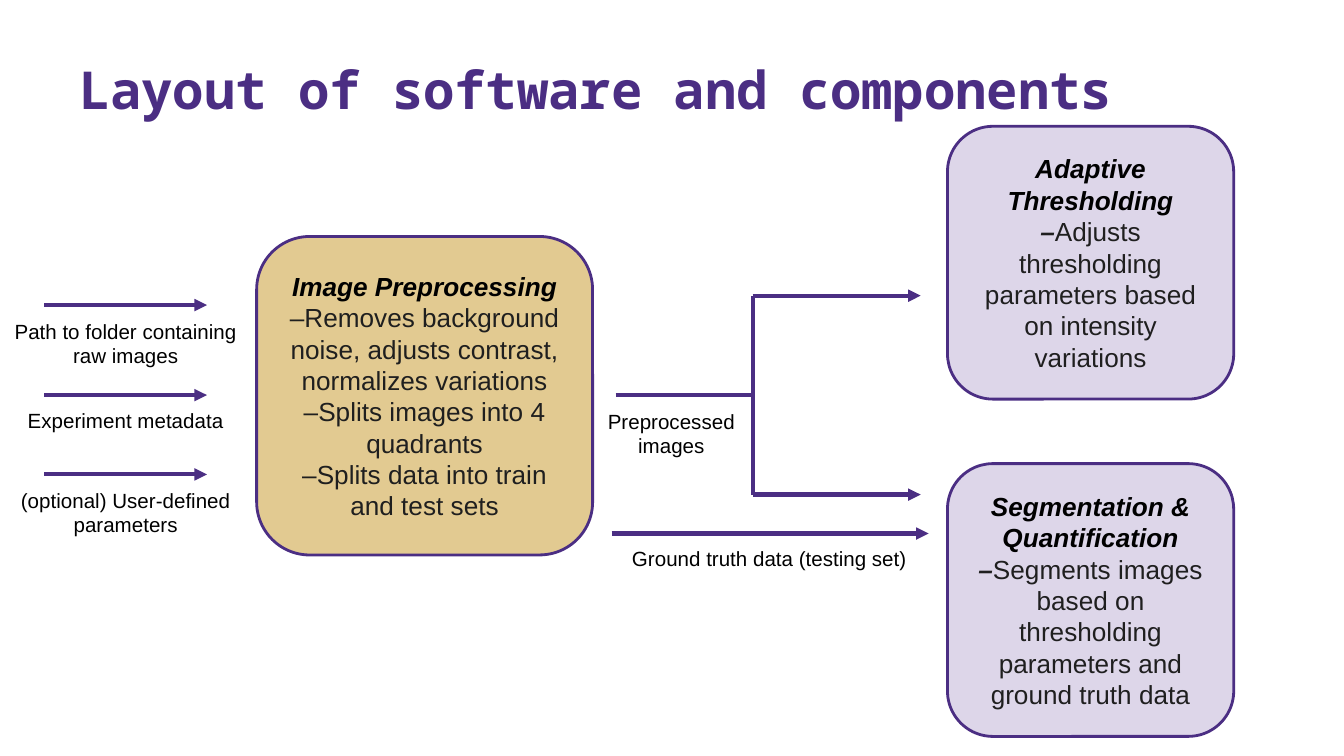
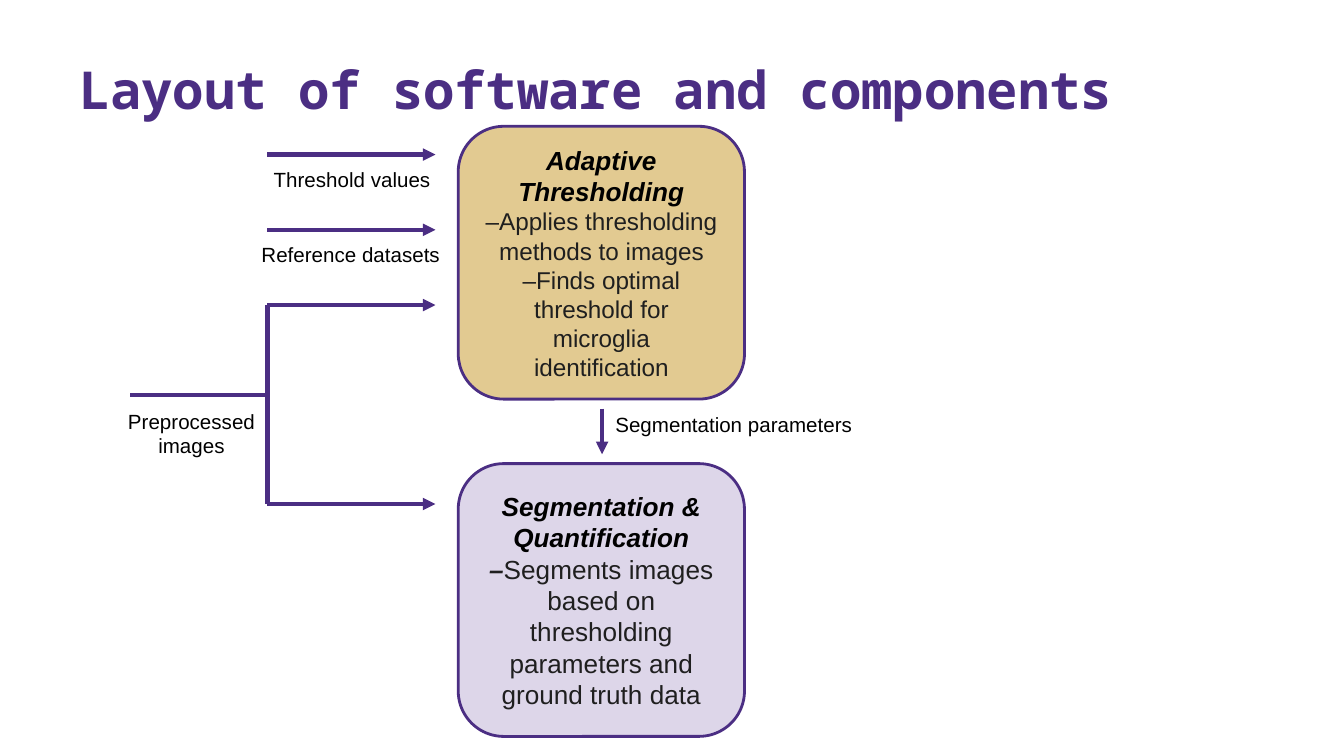
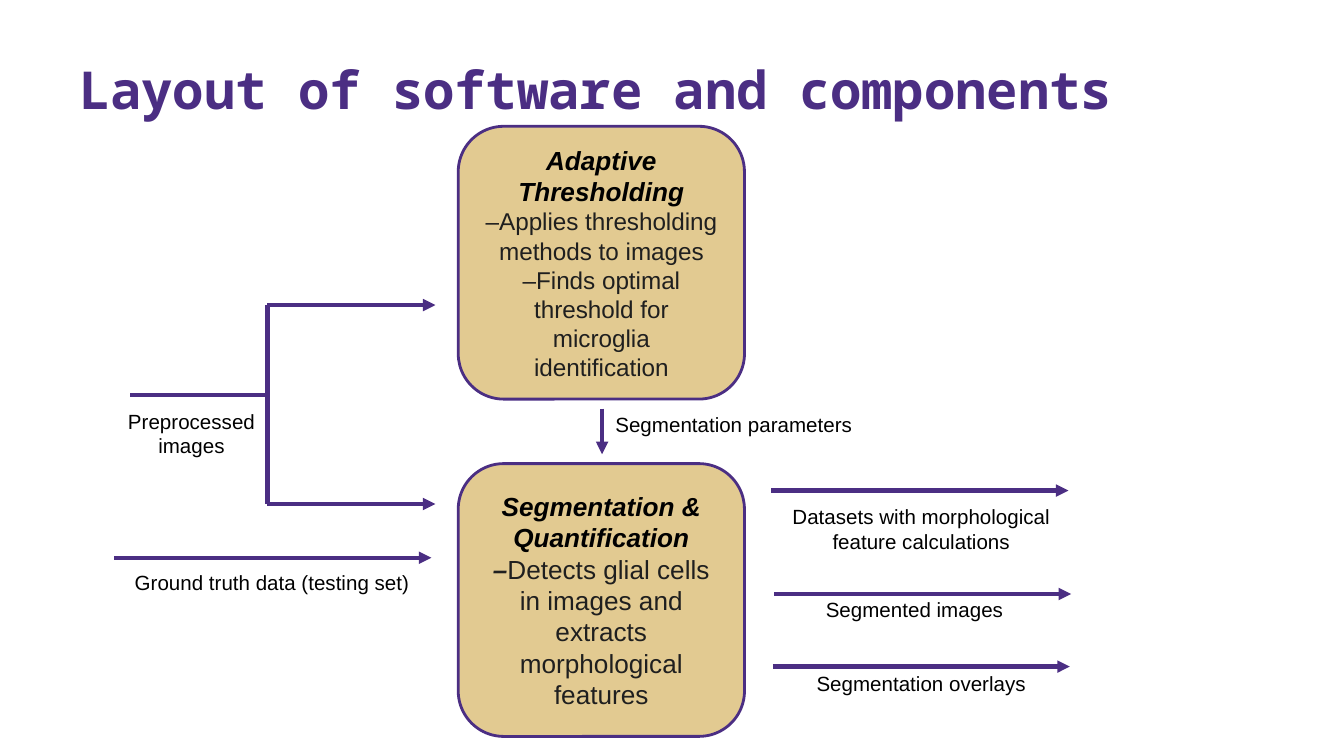
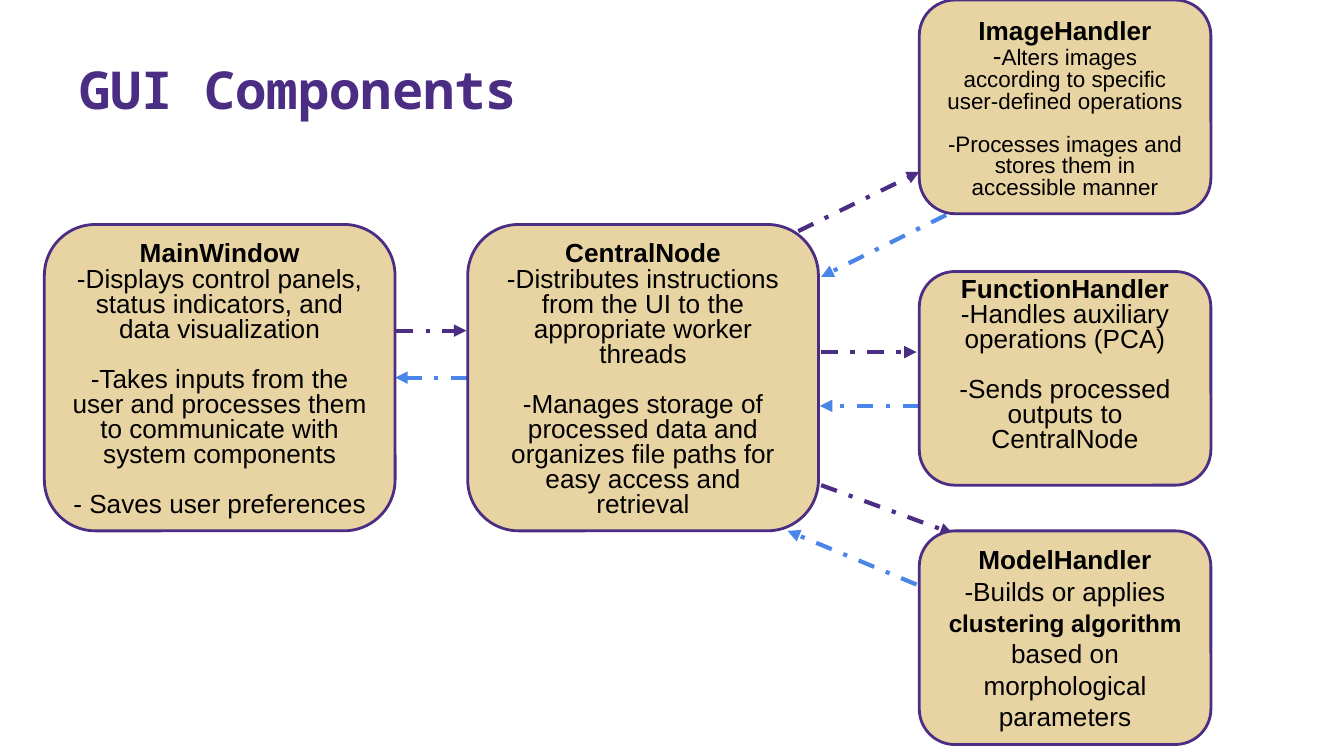
"""Build four slides on the layout of an image analysis program and its GUI."""
from lxml import etree
from pptx import Presentation
from pptx.dml.color import RGBColor
from pptx.enum.dml import MSO_LINE
from pptx.enum.shapes import MSO_CONNECTOR, MSO_SHAPE
from pptx.enum.text import MSO_ANCHOR, PP_ALIGN
from pptx.oxml.ns import qn
from pptx.util import Inches, Pt

COLORS = {
    "purple": "4B2E83",
    "lilac": "7357A6",
    "gold": "E2CA91",
    "sand": "E8D3A2",
    "blue": "4A86E8",
    "black": "000000",
    "ink": "1F1F1F",
}
LILAC_ALPHA = "24000"
STYLES = {
    "title": ("Noto Sans Mono", 28, "purple", True, False),
    "label": ("Arial", 11, "black", False, False),
    "head": ("Arial", 14, "black", True, True),
    "dash": ("Arial", 14, "ink", True, True),
    "body": ("Arial", 14, "ink", False, False),
    "body13": ("Arial", 13, "ink", False, False),
    "name": ("Arial", 14, "black", True, False),
    "duty": ("Arial", 14, "black", False, False),
    "duty12": ("Arial", 12, "black", False, False),
    "strong13": ("Arial", 13, "black", True, False),
}


def add_text(sp, paras, align=PP_ALIGN.CENTER, anchor=MSO_ANCHOR.TOP, spacing=None, gap=0):
    """Fill a shape with paragraphs of (style, text) runs."""
    tf = sp.text_frame
    tf.word_wrap = True
    tf.vertical_anchor = anchor
    tf.margin_left = tf.margin_right = tf.margin_top = tf.margin_bottom = Inches(0.1)
    for i, runs in enumerate(paras):
        p = tf.add_paragraph() if i else tf.paragraphs[0]
        p.alignment = align
        if spacing and i:
            p.line_spacing = spacing
        if gap and i > 1:
            p.space_before = Pt(gap)
        for style, text in runs:
            r = p.add_run()
            r.text = text
            font, size, color, r.font.bold, r.font.italic = STYLES[style]
            r.font.name = font
            r.font.size = Pt(size)
            r.font.color.rgb = RGBColor.from_string(COLORS[color])


def add_line(s, x1, y1, x2, y2, color="purple", head=True, dash=None):
    """Draw a straight line, with an arrowhead at its end by default."""
    c = s.shapes.add_connector(
        MSO_CONNECTOR.STRAIGHT, Inches(x1), Inches(y1), Inches(x2), Inches(y2))
    c.line.color.rgb = RGBColor.from_string(COLORS[color])
    c.line.width = Pt(2.25)
    if dash:
        c.line.dash_style = dash
    if head:
        etree.SubElement(c.line._get_or_add_ln(), qn("a:tailEnd"), type="triangle")
    etree.SubElement(c._element.spPr, qn("a:effectLst"))
    return c


SEGMENT_HEAD = [("head", "Segmentation & Quantification")]
SEGMENT_NEXT = [SEGMENT_HEAD, [
    ("dash", "–"),
    ("body", "Segments images based on thresholding parameters and ground truth data")]]
SEGMENT_NOW = [SEGMENT_HEAD, [
    ("dash", "–"),
    ("body", "Detects glial cells in images and extracts morphological features")]]
THRESHOLD_HEAD = [("head", "Adaptive Thresholding")]
THRESHOLD_NEXT = [THRESHOLD_HEAD, [
    ("dash", "–"),
    ("body", "Adjusts thresholding parameters based on intensity variations")]]
THRESHOLD_NOW = [
    THRESHOLD_HEAD,
    [("body13", "–Applies thresholding methods to images")],
    [("body13", "–Finds optimal threshold for microglia identification")]]
PREPROCESS = [
    [("head", "Image Preprocessing")],
    [("body", "–Removes background noise, adjusts contrast, normalizes variations")],
    [("body", "–Splits images into 4 quadrants")],
    [("body", "–Splits data into train and test sets")]]

STAGE = (2.13, 2.03)
TOP, LOW = 0.94, 3.45
PARAMETERS_ARROW = (4.48, 3.04, 4.48, 3.38)
PARAMETERS_LABEL = (4.48, 2.97, 1.99, 0.34, "Segmentation parameters", PP_ALIGN.LEFT)
PREPROCESSED_LABEL = (0.82, 2.94, 1.21, 0.54, "Preprocessed images", PP_ALIGN.CENTER)

PIPELINE = [
    {
        "fork": (5.6, 2.2, 3.68),
        "arrows": [(0.33, y, 1.54, y) for y in (2.27, 2.94, 3.53)] + [(4.55, 3.97, 6.91, 3.97)],
        "labels": [
            (-0.01, 2.27, 1.89, 0.54, "Path to folder containing raw images", PP_ALIGN.CENTER),
            (0.08, 2.94, 1.71, 0.34, "Experiment metadata", PP_ALIGN.CENTER),
            (-0.01, 3.53, 1.89, 0.54, "(optional) User-defined parameters", PP_ALIGN.CENTER),
            (4.39, 2.94, 1.21, 0.54, "Preprocessed images", PP_ALIGN.CENTER),
            (4.52, 3.97, 2.41, 0.38, "Ground truth data (testing set)", PP_ALIGN.CENTER),
        ],
        "cards": [
            (1.91, 1.76, 2.5, 2.37, "gold", PREPROCESS),
            (7.05, TOP, *STAGE, "lilac", THRESHOLD_NEXT),
            (7.05, LOW, *STAGE, "lilac", SEGMENT_NEXT),
        ],
    },
    {
        "fork": (1.99, 2.27, 3.75),
        "arrows": [PARAMETERS_ARROW] + [(1.99, y, 3.24, y) for y in (1.15, 1.71)],
        "labels": [
            PARAMETERS_LABEL,
            PREPROCESSED_LABEL,
            (1.92, 1.15, 1.4, 0.39, "Threshold values", PP_ALIGN.CENTER),
            (1.82, 1.71, 1.58, 0.39, "Reference datasets", PP_ALIGN.CENTER),
        ],
        "cards": [
            (3.41, TOP, *STAGE, "gold", THRESHOLD_NOW),
            (3.41, LOW, *STAGE, "lilac", SEGMENT_NEXT),
        ],
    },
    {
        "fork": (1.99, 2.27, 3.75),
        "arrows": [
            PARAMETERS_ARROW,
            (0.85, 4.15, 3.21, 4.15),
            (5.74, 3.65, 7.95, 3.65),
            (5.76, 4.42, 7.97, 4.42),
            (5.75, 4.96, 7.96, 4.96),
        ],
        "labels": [
            PARAMETERS_LABEL,
            PREPROCESSED_LABEL,
            (0.82, 4.15, 2.41, 0.38, "Ground truth data (testing set)", PP_ALIGN.CENTER),
            (5.73, 3.65, 2.25, 0.54, "Datasets with morphological feature calculations",
             PP_ALIGN.CENTER),
            (5.74, 4.35, 2.13, 0.38, "Segmented images", PP_ALIGN.CENTER),
            (5.73, 4.9, 2.25, 0.38, "Segmentation overlays", PP_ALIGN.CENTER),
        ],
        "cards": [
            (3.41, TOP, *STAGE, "gold", THRESHOLD_NOW),
            (3.41, LOW, *STAGE, "gold", SEGMENT_NOW),
        ],
    },
]

WINDOW = (2.61, 2.28)
HANDLER = (2.17, 1.59)
GUI_CARDS = [
    (0.33, 1.67, *WINDOW, 0.8, 13.4, [
        [("name", "MainWindow")],
        [("duty", "-Displays control panels, status indicators, and data visualization")],
        [("duty", "-Takes inputs from the user and processes them to communicate "
                  "with system components")],
        [("duty", "- Saves user preferences")]]),
    (3.48, 1.67, *WINDOW, 0.8, 13.4, [
        [("name", "CentralNode")],
        [("duty", "-Distributes instructions from the UI to the appropriate worker threads")],
        [("duty", "-Manages storage of processed data and organizes file paths "
                  "for easy access and retrieval")]]),
    (6.84, 0, *HANDLER, 0.8, 11.5, [
        [("name", "ImageHandler")],
        [("duty", "-"),
         ("duty12", "Alters images according to specific user-defined operations")],
        [("duty12", "-Processes images and stores them in accessible manner")]]),
    (6.84, 2.02, *HANDLER, 0.8, 13.4, [
        [("name", "FunctionHandler")],
        [("duty", "-Handles auxiliary operations (PCA)")],
        [("duty", "-Sends processed outputs to CentralNode")]]),
    (6.84, 3.95, *HANDLER, None, 0, [
        [("name", "ModelHandler")],
        [("duty", "-Builds or applies "),
         ("strong13", "clustering algorithm"),
         ("duty", " based on morphological parameters")]]),
]
REQUESTS = [
    (2.95, 2.46, 3.47, 2.46),
    (6.11, 2.62, 6.82, 2.62),
    (6.11, 3.61, 7.09, 3.97),
    (5.94, 1.72, 6.84, 1.28),
]
REPLIES = [
    (6.84, 3.02, 6.1, 3.02),
    (6.82, 4.35, 5.86, 3.95),
    (7.04, 1.6, 6.11, 2.06),
]

prs = Presentation()
prs.slide_width = Inches(10)
prs.slide_height = prs.slide_width * 9 // 16

slides = []
for title in ["Layout of software and components"] * 3 + ["GUI Components"]:
    s = prs.slides.add_slide(prs.slide_layouts[6])
    sp = s.shapes.add_textbox(Inches(0.49), Inches(0.17), Inches(8.96), Inches(0.77))
    add_text(sp, [[("title", title)]], PP_ALIGN.LEFT, MSO_ANCHOR.BOTTOM)
    sp.text_frame.margin_top = sp.text_frame.margin_bottom = Inches(0.05)
    slides.append(s)

for s, stage in zip(slides, PIPELINE):
    x, top, bottom = stage["fork"]
    add_line(s, x - 1.02, 2.94, x, 2.94, head=False)
    add_line(s, x, bottom, x, top, head=False)
    for y in (top, bottom):
        add_line(s, x, y, x + 1.25, y)
    for ends in stage["arrows"]:
        add_line(s, *ends)
    for x, y, w, h, text, align in stage["labels"]:
        sp = s.shapes.add_textbox(Inches(x), Inches(y), Inches(w), Inches(h))
        add_text(sp, [[("label", text)]], align)

gui = slides[3]
for ends in REQUESTS:
    add_line(gui, *ends, dash=MSO_LINE.DASH_DOT)
for ends in REPLIES:
    add_line(gui, *ends, color="blue", dash=MSO_LINE.DASH_DOT)
status = add_line(gui, 3.48, 2.81, 2.94, 2.81, color="blue", dash=MSO_LINE.DASH_DOT)

cards = [(s, *box, fill, None, 0, paras)
         for s, stage in zip(slides, PIPELINE)
         for *box, fill, paras in stage["cards"]]
cards += [(gui, *box, "sand", spacing, gap, paras)
          for *box, spacing, gap, paras in GUI_CARDS]
boxes = {}
for s, x, y, w, h, fill, spacing, gap, paras in cards:
    sp = s.shapes.add_shape(
        MSO_SHAPE.ROUNDED_RECTANGLE, Inches(x), Inches(y), Inches(w), Inches(h))
    sp.shadow.inherit = False
    sp.fill.solid()
    sp.fill.fore_color.rgb = RGBColor.from_string(COLORS[fill])
    if fill == "lilac":
        clr = sp._element.spPr.find(qn("a:solidFill"))[0]
        etree.SubElement(clr, qn("a:alpha"), val=LILAC_ALPHA)
    sp.line.color.rgb = RGBColor.from_string(COLORS["purple"])
    sp.line.width = Pt(1.5)
    add_text(sp, paras, anchor=MSO_ANCHOR.MIDDLE, spacing=spacing, gap=gap)
    boxes[paras[0][0][1]] = sp

boxes["FunctionHandler"].text_frame.margin_bottom = Inches(0.33)
status.begin_connect(boxes["CentralNode"], 1)
status.end_connect(boxes["MainWindow"], 3)

prs.save("out.pptx")
